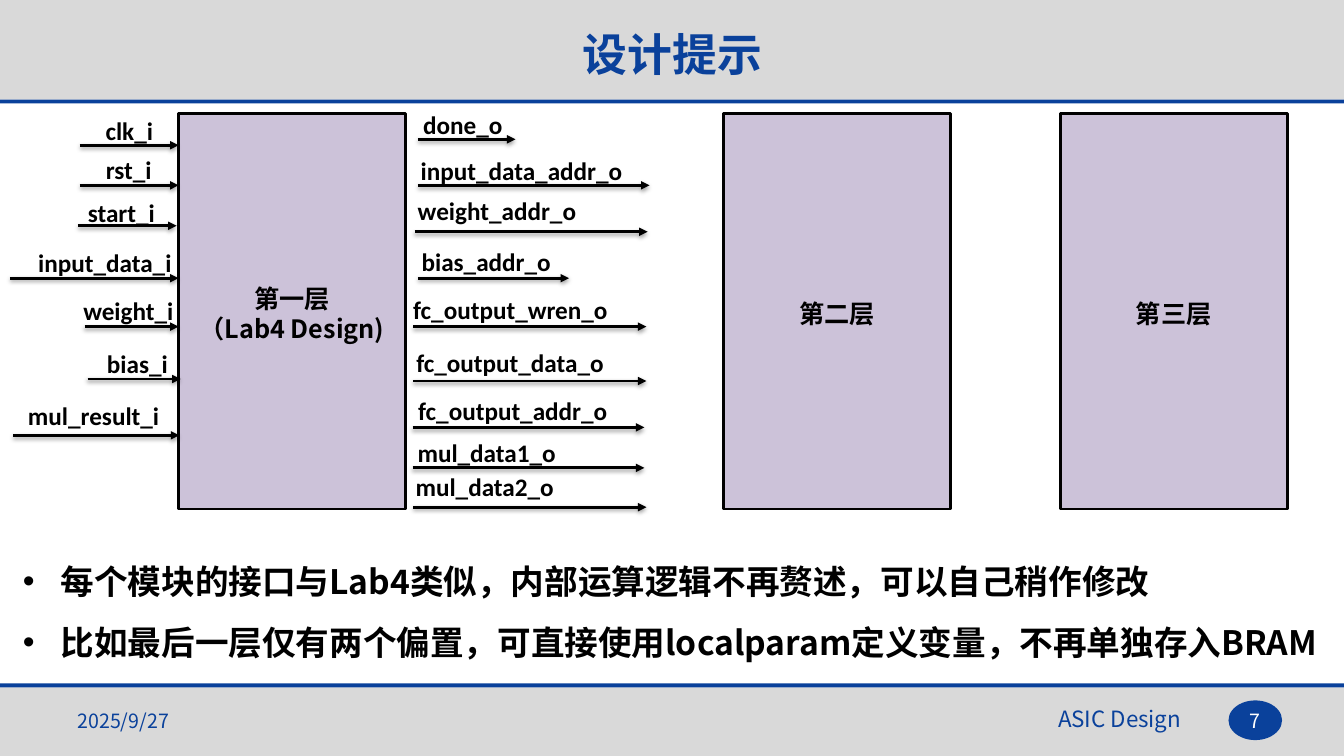
from lxml import etree
from pptx import Presentation
from pptx.dml.color import RGBColor
from pptx.enum.shapes import MSO_CONNECTOR, MSO_SHAPE
from pptx.enum.text import MSO_ANCHOR, PP_ALIGN
from pptx.oxml import parse_xml
from pptx.oxml.ns import nsdecls, qn
from pptx.util import Cm, Pt

RECT, OVAL = MSO_SHAPE.RECTANGLE, MSO_SHAPE.OVAL
LINE = MSO_CONNECTOR.STRAIGHT
LEFT, MID, RIGHT = PP_ALIGN.LEFT, PP_ALIGN.CENTER, PP_ALIGN.RIGHT
TOP, HALF = MSO_ANCHOR.TOP, MSO_ANCHOR.MIDDLE
BLUE, GREY, LILAC, BLACK, WHITE = "0A419B", "D9D9D9", "CCC2D9", "000000", "FFFFFF"
SANS, LATIN = "Noto Sans CJK SC", "Calibri"
WIDE, HIGH = 33.87, 19.05
RULE = 0.1
BLOCK = (5.72, 9.96)
LABEL = 1.02

# Each port: name, label left, label top, label width, arrow start, arrow end, arrow height
INPUTS = [
    ("clk_i", -2.14, -0.1, 1.8, -2.49, 0, 0.79),
    ("rst_i", -2.32, 0.89, 2.13, -2.49, 0, 1.8),
    ("start_i", -2.57, 1.98, 2.26, -2.54, -0.05, 2.82),
    ("input_data_i", -4.14, 3.25, 4.57, -4.25, 0, 4.14),
    ("weight_i", -3.69, 4.45, 4.85, -2.37, 0, 5.36),
    ("bias_i", -2.32, 5.79, 2.57, -2.29, 0.05, 6.68),
    ("mul_result_i", -4.25, 7.09, 4.22, -4.17, 0.02, 8.1),
]
OUTPUTS = [
    ("done_o", 0.15, -0.25, 2.59, 0.31, 2.77, 0.64),
    ("input_data_addr_o", -0.3, 0.91, 6.45, 0.31, 6.15, 1.8),
    ("weight_addr_o", -0.35, 1.93, 5.31, 0.23, 6.1, 2.97),
    ("bias_addr_o", -0.05, 3.2, 4.17, 0.31, 4.12, 4.14),
    ("fc_output_wren_o", -0.43, 4.42, 6.15, 0.2, 6.07, 5.36),
    ("fc_output_data_o", -0.02, 5.77, 5.31, 0.2, 6.07, 6.73),
    ("fc_output_addr_o", 0.05, 6.96, 5.31, 0.18, 6.02, 7.9),
    ("mul_data1_o", -0.61, 8.03, 5.31, 0.18, 6.02, 8.92),
    ("mul_data2_o", -0.66, 8.89, 5.31, 0.2, 6.07, 9.91),
]
LAYERS = [
    (4.5, ["第一层", "（Lab4 Design)"], 4.14),
    (18.24, ["第二层"], 4.52),
    (26.72, ["第三层"], 4.52),
]
NOTES = [
    "每个模块的接口与Lab4类似，内部运算逻辑不再赘述，可以自己稍作修改",
    "比如最后一层仅有两个偏置，可直接使用localparam定义变量，不再单独存入BRAM",
]
SHADOW = (
    f'<a:effectLst {nsdecls("a")}><a:outerShdw blurRad="39370" dist="20320" dir="5400000" '
    'rotWithShape="0"><a:srgbClr val="000000"><a:alpha val="38000"/></a:srgbClr>'
    "</a:outerShdw></a:effectLst>"
)


def color(code):
    """Turn a hex string into a colour."""
    return RGBColor.from_string(code)


def shape(slide, kind, box, fill, edge=None):
    """Draw a flat preset shape."""
    item = slide.shapes.add_shape(kind, *map(Cm, box))
    item.shadow.inherit = False
    item.fill.solid()
    item.fill.fore_color.rgb = color(fill)
    if edge:
        item.line.color.rgb = color(edge)
        item.line.width = Pt(2)
    else:
        item.line.fill.background()


def bullet(para):
    """Give a paragraph a hanging bullet."""
    props = para._p.get_or_add_pPr()
    props.set("marL", str(Cm(0.95)))
    props.set("indent", str(Cm(-0.95)))
    font = etree.SubElement(props, qn("a:buFont"))
    font.set("typeface", "Arial")
    etree.SubElement(props, qn("a:buChar")).set("char", "•")


def text(slide, box, lines, size=18, font=SANS, ink=BLACK, bold=False,
         align=MID, anchor=TOP, wrap=True, space=None, dots=False):
    """Write lines of text in a box."""
    frame = slide.shapes.add_textbox(*map(Cm, box)).text_frame
    frame.word_wrap = wrap
    frame.vertical_anchor = anchor
    for num, line in enumerate(lines):
        para = frame.add_paragraph() if num else frame.paragraphs[0]
        para.alignment = align
        if space:
            para.line_spacing = space
        if dots:
            bullet(para)
        run = para.add_run()
        run.text = line
        run.font.size = Pt(size)
        run.font.bold = bold
        run.font.color.rgb = color(ink)
        run.font.name = font
        east = etree.SubElement(run._r.get_or_add_rPr(), qn("a:ea"))
        east.set("typeface", font)


def arrow(slide, start, end, y):
    """Draw a level arrow with a soft shadow."""
    item = slide.shapes.add_connector(LINE, Cm(start), Cm(y), Cm(end), Cm(y))
    item.line.color.rgb = color(BLACK)
    item.line.width = Pt(2)
    tail = etree.SubElement(item.line._get_or_add_ln(), qn("a:tailEnd"))
    tail.set("type", "triangle")
    item._element.spPr.append(parse_xml(SHADOW))


def ports(slide, edge, top, rows):
    """Place named arrows relative to one edge of a block."""
    for name, left, high, width, start, end, y in rows:
        arrow(slide, edge + start, edge + end, top + y)
        text(slide, (edge + left, top + high, width, LABEL), [name],
             font=LATIN, bold=True, wrap=False)


def layer(slide, left, top, lines, drop):
    """Draw a block with its caption."""
    width, height = BLOCK
    shape(slide, RECT, (left, top, width, height), LILAC, BLACK)
    text(slide, (left, top + drop, width, LABEL), lines, bold=True, wrap=False)


def header(slide, left, top, width, height):
    """Draw the title band and its rule."""
    shape(slide, RECT, (left, top, width, height), GREY)
    shape(slide, RECT, (left, top + height, width, RULE), BLUE)
    text(slide, (left + 4.83, top + 0.51, 24.23, 1.7), ["设计提示"],
         size=32, ink=BLUE, bold=True, anchor=HALF)


def diagram(slide, left, top):
    """Draw the three layers and the ports of the first."""
    for shift, lines, drop in LAYERS:
        layer(slide, left + shift, top, lines, drop)
    first = left + LAYERS[0][0]
    ports(slide, first, top, INPUTS)
    ports(slide, first + BLOCK[0], top, OUTPUTS)


def footer(slide, left, top, width, height):
    """Draw the bottom band with date, course and page."""
    row = top + 0.33
    shape(slide, RECT, (left, top, width, height), GREY)
    shape(slide, RECT, (left, top - RULE, width, RULE), BLUE)
    shape(slide, OVAL, (left + 30.96, row, 1.35, 1), BLUE)
    text(slide, (left + 12.67, row, 17.35, 1.4), ["ASIC Design"],
         size=16, ink=BLUE, align=RIGHT)
    text(slide, (left + 1.7, row, 7.9, LABEL), ["2025/9/27"],
         size=14, ink=BLUE, align=LEFT, anchor=HALF)
    text(slide, (left + 30.81, row, 1.65, LABEL), ["7"],
         size=14, ink=WHITE, anchor=HALF)


def main():
    """Build and save the slide."""
    deck = Presentation()
    deck.slide_width, deck.slide_height = Cm(WIDE), Cm(HIGH)
    slide = deck.slides.add_slide(deck.slide_layouts[6])
    header(slide, 0, 0, WIDE, 2.51)
    diagram(slide, 0, 2.87)
    text(slide, (0.33, 13.51, 34.29, 3.15), NOTES, size=24, bold=True,
         align=LEFT, space=1.5, dots=True)
    footer(slide, 0, 17.32, WIDE, 1.73)
    deck.save("out.pptx")


if __name__ == "__main__":
    main()
